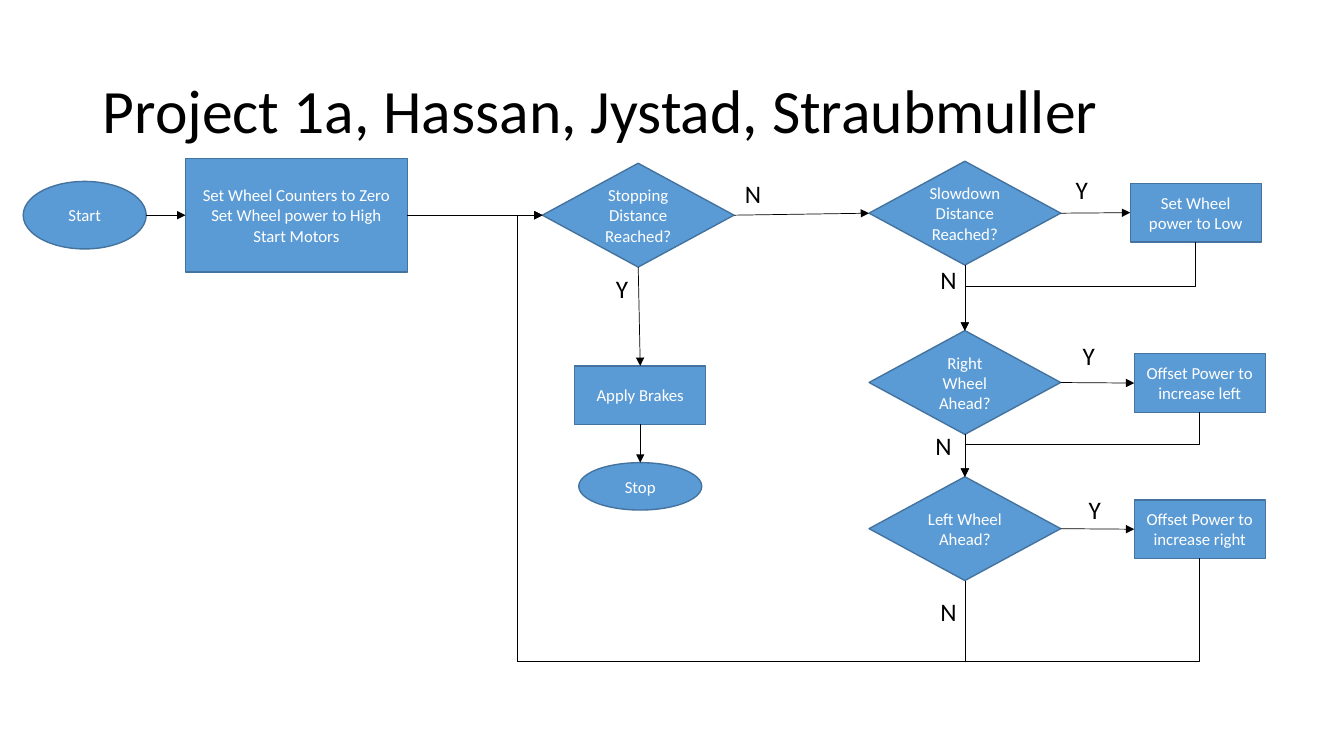
from lxml import etree
from pptx import Presentation
from pptx.dml.color import RGBColor
from pptx.enum.shapes import MSO_CONNECTOR as Conn, MSO_SHAPE as Shape
from pptx.enum.text import MSO_ANCHOR as Anchor, MSO_AUTO_SIZE as Fit, PP_ALIGN as Align
from pptx.oxml.ns import qn
from pptx.util import Inches, Pt

BLUE = RGBColor(0x5B, 0x9B, 0xD5)
EDGE = RGBColor(0x43, 0x73, 0x9E)
BLACK = RGBColor(0, 0, 0)
WHITE = RGBColor(255, 255, 255)
TOP, LEFT, BOTTOM, RIGHT = range(4)


class Chart:
    """Flowchart style and the slide it is drawn on."""

    font = "Calibri"

    def __init__(self, slide):
        self.slide = slide
        self.shapes = slide.shapes

    def letter(self, frame, lines, size, color, align):
        frame.text = "\n".join(lines)
        for para in frame.paragraphs:
            para.alignment = align
            para.font.name = self.font
            para.font.size = Pt(size)
            para.font.color.rgb = color

    def title(self, text, x, y, w, h):
        box = self.shapes.title
        box.left, box.top, box.width, box.height = map(Inches, (x, y, w, h))
        frame = box.text_frame
        frame.auto_size = Fit.NONE
        frame.vertical_anchor = Anchor.MIDDLE
        self.letter(frame, [text], 44, BLACK, Align.LEFT)
        frame.paragraphs[0].line_spacing = 0.9

    def node(self, kind, x, y, w, h, *lines):
        node = self.shapes.add_shape(kind, *map(Inches, (x, y, w, h)))
        node.shadow.inherit = False
        node.fill.solid()
        node.fill.fore_color.rgb = BLUE
        node.line.color.rgb = EDGE
        node.line.width = Pt(1)
        node.text_frame.vertical_anchor = Anchor.MIDDLE
        self.letter(node.text_frame, lines, 12, WHITE, Align.CENTER)
        return node

    def test(self, x, y, text):
        return self.node(Shape.DIAMOND, x, y, 1.9, 1.03, text)

    def step(self, x, y, text):
        return self.node(Shape.RECTANGLE, x, y, 1.3, 0.58, text)

    def label(self, text, x, y):
        box = self.shapes.add_textbox(*map(Inches, (x, y, 0.34, 0.4)))
        box.text_frame.word_wrap = False
        box.text_frame.auto_size = Fit.SHAPE_TO_FIT_TEXT
        self.letter(box.text_frame, [text], 18, BLACK, Align.LEFT)

    def point(self, node, side):
        x = {LEFT: 0, RIGHT: node.width}.get(side, node.width // 2)
        y = {TOP: 0, BOTTOM: node.height}.get(side, node.height // 2)
        return node.left + x, node.top + y

    def link(self, a, start, b, end, kind=Conn.STRAIGHT):
        line = self.shapes.add_connector(kind, *self.point(a, start), *self.point(b, end))
        # Ovals number their sites differently; only the top agrees
        if a.auto_shape_type != Shape.OVAL or start == TOP:
            line.begin_connect(a, start)
        if b.auto_shape_type != Shape.OVAL or end == TOP:
            line.end_connect(b, end)
        line.line.color.rgb = BLACK
        line.line.width = Pt(0.5)
        props = line.element.spPr
        etree.SubElement(props.find(qn("a:ln")), qn("a:tailEnd"), type="triangle")
        etree.SubElement(props, qn("a:effectLst"))
        return line

    def bend(self, a, b, end, floor=None, wall=None):
        """Elbow from the bottom of a; floor and wall give a loop back up."""
        line = self.link(a, BOTTOM, b, end, Conn.ELBOW)
        (x1, y1), (x2, y2) = self.point(a, BOTTOM), self.point(b, end)
        wide, high = abs(x2 - x1), abs(y2 - y1)
        # The box lies on its side, turned a quarter about the midpoint
        line.left, line.top = (x1 + x2 - high) // 2, (y1 + y2 - wide) // 2
        line.width, line.height = high, wide
        props = line.element.spPr
        form = props.find(qn("a:xfrm"))
        for flip in ("flipH", "flipV"):
            form.attrib.pop(flip, None)
        form.set("rot", "5400000")
        name, ratios = "bentConnector3", [0.5]
        if floor:
            form.set("flipH", "1")
            name = "bentConnector4"
            ratios = [(y1 - Inches(floor)) / high, (x1 - Inches(wall)) / wide]
        geom = props.find(qn("a:prstGeom"))
        geom.set("prst", name)
        guides = geom.find(qn("a:avLst"))
        for i, ratio in enumerate(ratios, 1):
            etree.SubElement(guides, qn("a:gd"), name=f"adj{i}", fmla=f"val {round(ratio * 100000)}")


def main():
    deck = Presentation()
    deck.slide_width, deck.slide_height = Inches(13.33), Inches(7.5)
    flow = Chart(deck.slides.add_slide(deck.slide_layouts[5]))
    flow.title("Project 1a, Hassan, Jystad, Straubmuller", 0.92, 0.4, 11.5, 1.45)

    # Start, setup and stopping
    start = flow.node(Shape.OVAL, 0.23, 1.8, 1.22, 0.67, "Start")
    setup = flow.node(Shape.RECTANGLE, 1.84, 1.57, 2.2, 1.13,
                      "Set Wheel Counters to Zero", "Set Wheel power to High Start Motors")
    near = flow.test(5.38, 1.62, "Stopping Distance Reached?")
    brake = flow.step(5.7, 3.63, "Apply Brakes")
    stop = flow.node(Shape.OVAL, 5.74, 4.59, 1.22, 0.47, "Stop")

    # Tests with their actions
    slow = flow.test(8.62, 1.6, "Slowdown Distance Reached?")
    right = flow.test(8.62, 3.28, "Right Wheel Ahead?")
    left = flow.test(8.62, 4.73, "Left Wheel Ahead?")
    low = flow.step(11.21, 1.82, "Set Wheel power to Low")
    more_left = flow.step(11.25, 3.51, "Offset Power to increase left")
    more_right = flow.step(11.25, 4.96, "Offset Power to increase right")

    # Straight arrows
    across = [(start, setup), (setup, near), (near, slow),
              (slow, low), (right, more_left), (left, more_right)]
    for a, b in across:
        flow.link(a, RIGHT, b, LEFT)
    for a, b in [(slow, right), (right, left), (near, brake), (brake, stop)]:
        flow.link(a, BOTTOM, b, TOP)

    # Elbow arrows and loops
    flow.bend(low, right, TOP)
    flow.bend(more_left, left, TOP)
    for a in (more_right, left):
        flow.bend(a, near, LEFT, floor=6.56, wall=5.13)

    # Branch labels
    spots = {"N": [(7.29, 1.72), (9.23, 2.57), (9.18, 4.22), (9.23, 5.87)],
             "Y": [(6.01, 2.66), (10.57, 1.68), (10.64, 3.33), (10.7, 4.85)]}
    for text, places in spots.items():
        for x, y in places:
            flow.label(text, x, y)

    deck.save("out.pptx")


if __name__ == "__main__":
    main()
